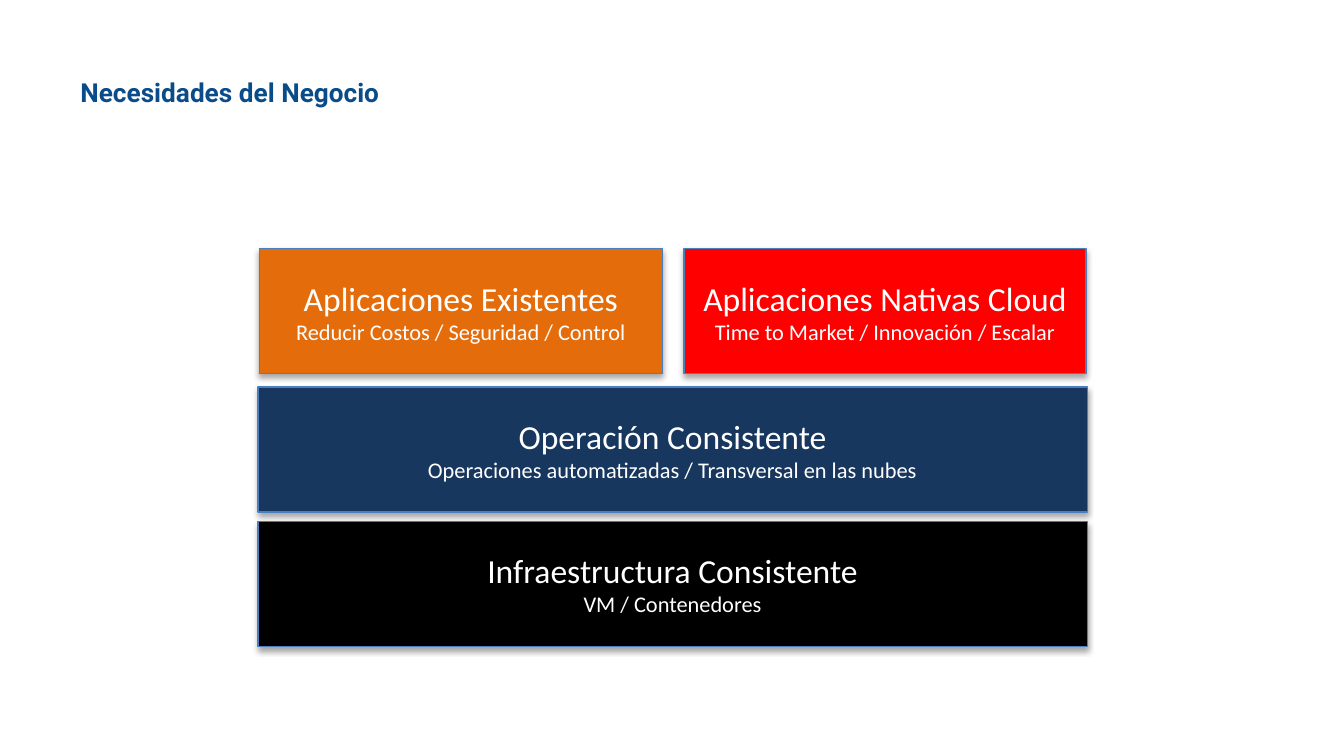
from lxml.etree import SubElement
from pptx import Presentation
from pptx.dml.color import RGBColor
from pptx.enum.shapes import MSO_SHAPE as Shape
from pptx.enum.text import MSO_ANCHOR as Anchor, PP_ALIGN as Align
from pptx.oxml.ns import qn
from pptx.util import Inches, Pt

COLORS = {
    "title": "094C89",
    "text": "FFFFFF",
    "border": "4B7EBC",
    "shadow": "000000",
    "existing": "E46C0A",
    "native": "FF0000",
    "operation": "17375E",
    "infrastructure": "000000",
}
SLIDE_WIDTH = Inches(10)
SLIDE_HEIGHT = SLIDE_WIDTH * 9 // 16
ROW_TOPS = (1.85, 2.88, 3.88)
ROW_HEIGHT = 0.93
LEFT, FULL_WIDTH = 1.92, 6.17

# row, left, width, color, heading, detail
BLOCKS = (
    (2, LEFT, FULL_WIDTH, "infrastructure",
     "Infraestructura Consistente", "VM / Contenedores"),
    (1, LEFT, FULL_WIDTH, "operation",
     "Operación Consistente", "Operaciones automatizadas / Transversal en las nubes"),
    (0, 1.93, 3, "existing",
     "Aplicaciones Existentes", "Reducir Costos / Seguridad / Control"),
    (0, 5.09, 2.99, "native",
     "Aplicaciones Nativas Cloud", "Time to Market / Innovación / Escalar"),
)


def color(name):
    return RGBColor.from_string(COLORS[name])


def write(paragraph, text, *, size, font="Calibri", fill="text", bold=False,
          align=Align.CENTER):
    paragraph.alignment = align
    run = paragraph.add_run()
    run.text = text
    run.font.name = font
    run.font.size = Pt(size)
    run.font.bold = bold
    run.font.color.rgb = color(fill)


def add_soft_shadow(shape):
    """Replace the theme shadow with a soft one straight below the shape."""
    shape.shadow.inherit = False
    effects = shape.element.spPr.find(qn("a:effectLst"))
    shadow = SubElement(effects, qn("a:outerShdw"), blurRad=str(Pt(3.1)),
                        dist=str(Pt(1.8)), dir="5400000", rotWithShape="0")
    tint = SubElement(shadow, qn("a:srgbClr"), val=COLORS["shadow"])
    SubElement(tint, qn("a:alpha"), val="35000")


def add_title(slide, text):
    box = slide.shapes.add_textbox(Inches(0.5), Inches(0.52), Inches(9), Inches(0.58))
    frame = box.text_frame
    frame.word_wrap = True
    write(frame.paragraphs[0], text, size=14, font="Roboto", fill="title",
          bold=True, align=Align.LEFT)


def add_block(slide, row, left, width, fill, heading, detail):
    shape = slide.shapes.add_shape(Shape.RECTANGLE, Inches(left), Inches(ROW_TOPS[row]),
                                   Inches(width), Inches(ROW_HEIGHT))
    shape.fill.solid()
    shape.fill.fore_color.rgb = color(fill)
    shape.line.color.rgb = color("border")
    shape.line.width = Pt(0.75)
    add_soft_shadow(shape)
    frame = shape.text_frame
    frame.word_wrap = True
    frame.vertical_anchor = Anchor.MIDDLE
    write(frame.paragraphs[0], heading, size=18)
    write(frame.add_paragraph(), detail, size=12)


def main():
    presentation = Presentation()
    presentation.slide_width = SLIDE_WIDTH
    presentation.slide_height = SLIDE_HEIGHT
    slide = presentation.slides.add_slide(presentation.slide_layouts[6])
    add_title(slide, "Necesidades del Negocio")
    for block in BLOCKS:
        add_block(slide, *block)
    presentation.save("out.pptx")


if __name__ == "__main__":
    main()
